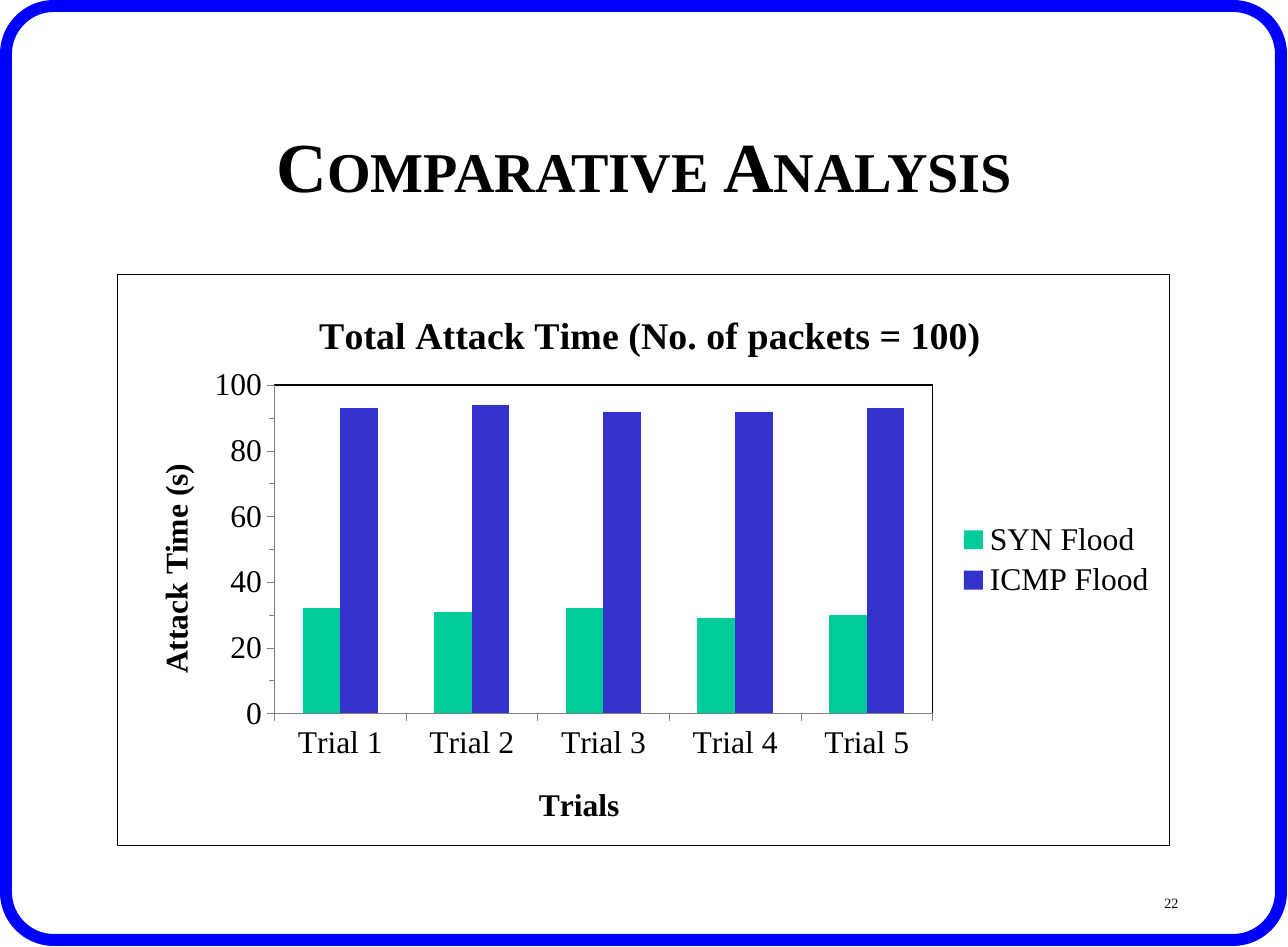
from dataclasses import dataclass

from lxml.etree import SubElement, fromstring
from pptx import Presentation
from pptx.chart.data import CategoryChartData
from pptx.dml.color import RGBColor
from pptx.enum.chart import XL_CHART_TYPE, XL_LEGEND_POSITION, XL_TICK_MARK
from pptx.enum.shapes import MSO_SHAPE
from pptx.enum.text import MSO_ANCHOR, PP_ALIGN
from pptx.oxml import parse_xml
from pptx.oxml.ns import nsdecls, qn
from pptx.util import Pt

PX = 7240  # EMU in one px


@dataclass(frozen=True)
class Theme:
    font: str = "Times New Roman"
    ink: RGBColor = RGBColor(0, 0, 0)
    frame: RGBColor = RGBColor(0, 0, 255)
    axis: RGBColor = RGBColor(128, 128, 128)
    syn: RGBColor = RGBColor(0x00, 0xCC, 0x99)
    icmp: RGBColor = RGBColor(0x33, 0x33, 0xCC)
    large_cap: float = 40
    small_cap: float = 32
    chart_title: float = 21.6
    chart_text: float = 18
    page_number: float = 14


THEME = Theme()
TRIALS = [f"Trial {n}" for n in range(1, 6)]
FLOODS = [
    ("SYN Flood", [32, 31, 32, 29, 30], THEME.syn),
    ("ICMP Flood", [93, 94, 92, 92, 93], THEME.icmp),
]


def emu(box):
    return [length * PX for length in box]


def style_font(font, size, bold=False):
    font.name = THEME.font
    font.size = Pt(size)
    font.bold = bold
    font.color.rgb = THEME.ink


def add_line_of_text(slide, box, pieces, align, bold=False):
    """Add one paragraph made of (text, size) pieces and return its runs."""
    frame = slide.shapes.add_textbox(*emu(box)).text_frame
    frame.word_wrap = True
    frame.vertical_anchor = MSO_ANCHOR.MIDDLE
    paragraph = frame.paragraphs[0]
    paragraph.alignment = align
    for text, size in pieces:
        run = paragraph.add_run()
        run.text = text
        style_font(run.font, size, bold)
    return paragraph.runs


def add_frame(slide, box, thickness, radius):
    left, top, width, height = box
    inner = (left + thickness // 2, top + thickness // 2,
             width - thickness, height - thickness)
    border = slide.shapes.add_shape(MSO_SHAPE.ROUNDED_RECTANGLE, *emu(inner))
    border.adjustments[0] = radius / min(inner[2:])
    border.shadow.inherit = False
    border.fill.background()
    border.line.color.rgb = THEME.frame
    border.line.width = thickness * PX


def add_heading(slide, box):
    pieces = [("C", THEME.large_cap), ("OMPARATIVE ", THEME.small_cap),
              ("A", THEME.large_cap), ("NALYSIS", THEME.small_cap)]
    add_line_of_text(slide, box, pieces, PP_ALIGN.CENTER, bold=True)


def add_page_number(slide, box):
    number, = add_line_of_text(slide, box, [("22", THEME.page_number)], PP_ALIGN.RIGHT)
    number.font._element.set("baseline", "-25000")


def set_layout(element, index, chart_box, **position):
    """Place a chart part at px positions measured from the chart's corner."""
    for old in element.findall(qn("c:layout")):
        element.remove(old)
    layout = parse_xml(f'<c:layout {nsdecls("c")}><c:manualLayout/></c:layout>')
    manual = layout[0]
    if "w" in position:
        SubElement(manual, qn("c:layoutTarget")).set("val", "inner")
    for key in "xy":
        SubElement(manual, qn(f"c:{key}Mode")).set("val", "edge")
    for key, length in position.items():
        whole = chart_box[2] if key in "xw" else chart_box[3]
        SubElement(manual, qn(f"c:{key}")).set("val", str(length / whole))
    element.insert(index, layout)


def outline(points):
    return parse_xml(
        f'<c:spPr {nsdecls("c", "a")}><a:noFill/><a:ln w="{Pt(points)}"><a:solidFill>'
        f'<a:srgbClr val="{THEME.ink}"/></a:solidFill></a:ln></c:spPr>')


def add_chart_heading(owner, text, size, chart_box, x, y):
    """Give a chart or an axis its bold title."""
    owner.has_title = True
    title = owner.chart_title if hasattr(owner, "chart_title") else owner.axis_title
    run = title.text_frame.paragraphs[0].add_run()
    run.text = text
    style_font(run.font, size, bold=True)
    set_layout(title._element, 1, chart_box, x=x, y=y)
    return title


def add_attack_chart(slide, box):
    data = CategoryChartData()
    data.categories = TRIALS
    for name, seconds, _ in FLOODS:
        data.add_series(name, seconds)
    chart = slide.shapes.add_chart(XL_CHART_TYPE.COLUMN_CLUSTERED, *emu(box), data).chart
    style_font(chart.font, THEME.chart_text)

    # Bars
    bars = chart.plots[0]
    bars.gap_width = 150
    bars.overlap = 0
    bars.vary_by_categories = False
    for series, (_, _, color) in zip(bars.series, FLOODS):
        series.format.fill.solid()
        series.format.fill.fore_color.rgb = color

    # Axes
    trials, seconds = chart.category_axis, chart.value_axis
    for axis in (trials, seconds):
        axis.has_major_gridlines = False
        axis.major_tick_mark = XL_TICK_MARK.OUTSIDE
        axis.format.line.color.rgb = THEME.axis
        axis.format.line.width = Pt(0.25)
        style_font(axis.tick_labels.font, THEME.chart_text)
    seconds.minor_tick_mark = XL_TICK_MARK.OUTSIDE
    seconds.minimum_scale, seconds.maximum_scale = 0, 100
    seconds.major_unit, seconds.minor_unit = 20, 10

    # Titles
    add_chart_heading(chart, "Total Attack Time (No. of packets = 100)",
                      THEME.chart_title, box, 195, 29)
    add_chart_heading(trials, "Trials", THEME.chart_text, box, 416, 506)
    upright = add_chart_heading(seconds, "Attack Time (s)", THEME.chart_text, box, 33, 184)
    upright.text_frame._txBody.find(qn("a:bodyPr")).set("rot", "-5400000")

    # Legend
    chart.has_legend = True
    chart.legend.position = XL_LEGEND_POSITION.RIGHT
    chart.legend.include_in_layout = False
    style_font(chart.legend.font, THEME.chart_text)

    # Plot area and outer border
    plot_area = chart._chartSpace.chart.plotArea
    set_layout(plot_area, 0, box, x=157, y=111, w=659, h=329)
    plot_area.append(outline(1))
    chart._chartSpace.chart.addnext(outline(0.75))


def build_analysis_slide(slide, box):
    left, top, width, height = box
    add_frame(slide, (left, top, width - 1, height - 1), thickness=12, radius=48)
    add_page_number(slide, (left + 923, top + 863, 268, 63))
    add_heading(slide, (left + 97, top + 85, 1095, 158))
    add_attack_chart(slide, (left + 117, top + 274, 1053, 572))


def main():
    deck = Presentation()
    width, height = 1288, 947
    deck.slide_width, deck.slide_height = emu((width, height))
    slide = deck.slides.add_slide(deck.slide_layouts[6])
    build_analysis_slide(slide, (0, 0, width, height))
    deck.save("out.pptx")


if __name__ == "__main__":
    main()
